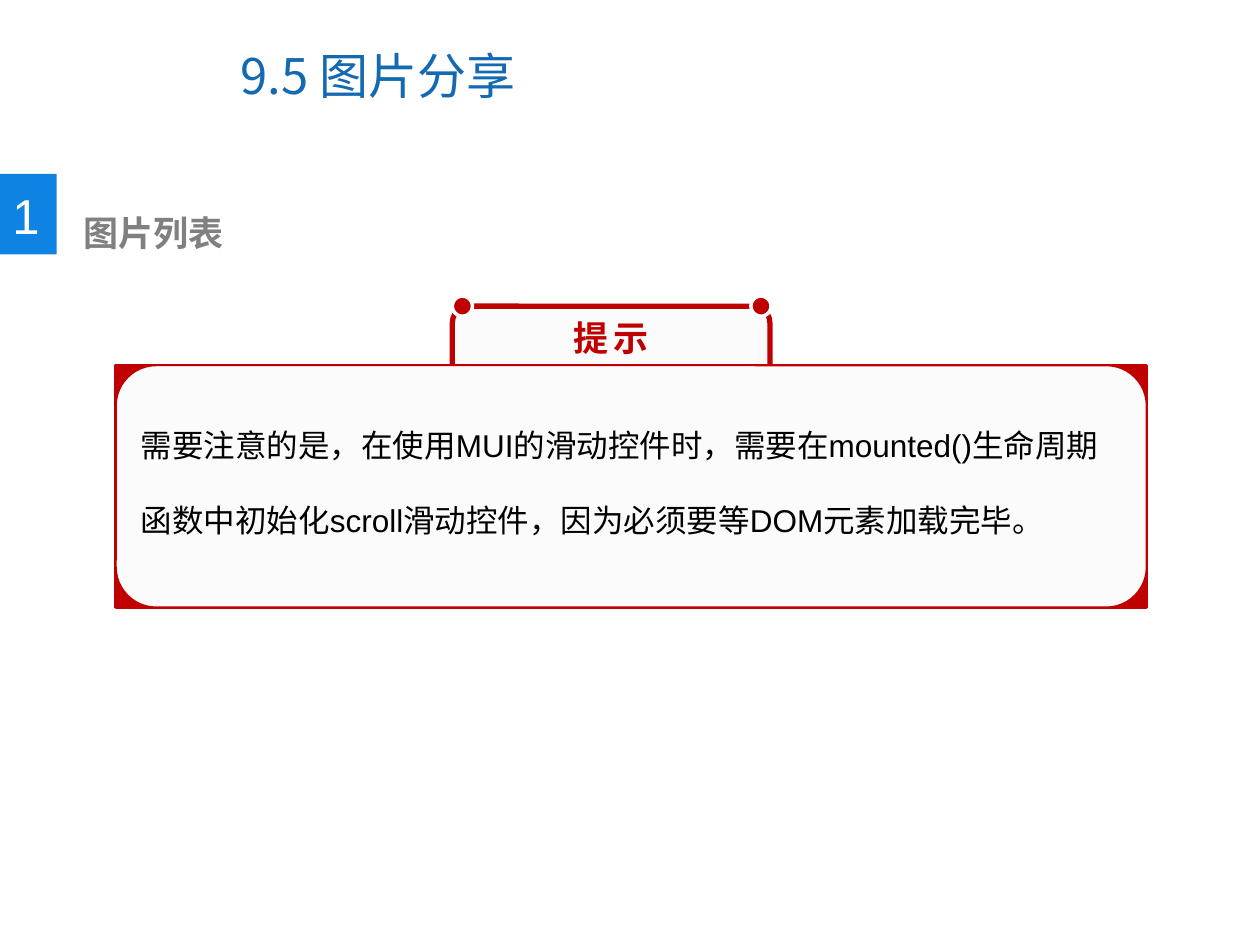
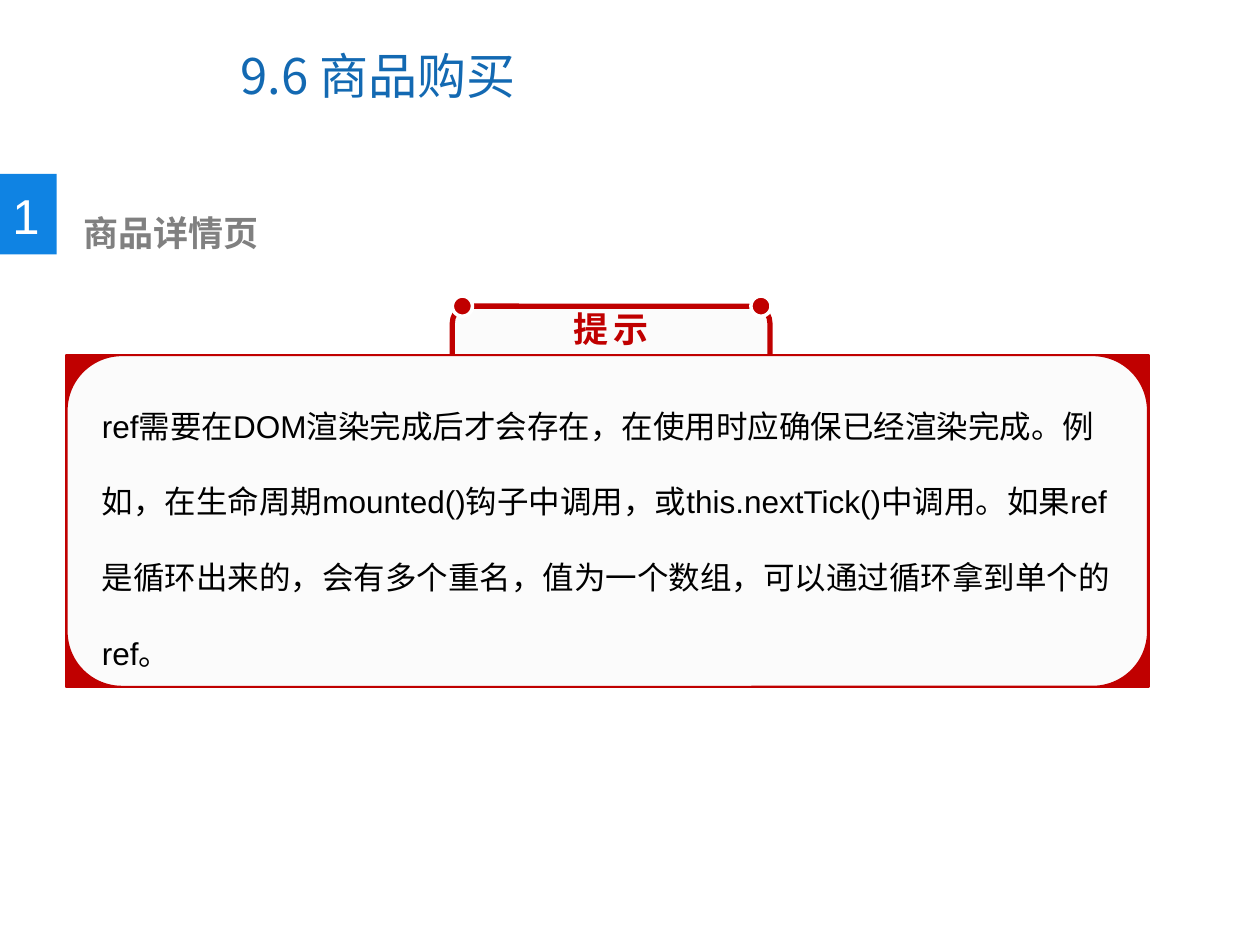
from pptx import Presentation
from pptx.dml.color import RGBColor
from pptx.enum.shapes import MSO_SHAPE
from pptx.enum.text import MSO_ANCHOR, PP_ALIGN
from pptx.util import Inches, Pt
from lxml.etree import SubElement

BLUE, BADGE_BLUE, RED = "1369B2", "0F83E3", "C00000"
PANEL, GRAY, WHITE, BLACK = "FBFBFB", "808080", "FFFFFF", "000000"
CJK = "Noto Sans CJK SC"
NS = "{http://schemas.openxmlformats.org/drawingml/2006/main}"


def rgb(value):
    return RGBColor.from_string(value)


def write(tf, text, size=18, color=BLACK, font="Arial", bold=False, spacing=None,
          line_spacing=None, align=PP_ALIGN.LEFT, anchor=MSO_ANCHOR.TOP, wrap=True):
    tf.word_wrap = wrap
    tf.vertical_anchor = anchor
    p = tf.paragraphs[0]
    p.alignment = align
    if line_spacing:
        p.line_spacing = line_spacing
    r = p.add_run()
    r.text = text
    r.font.size, r.font.bold, r.font.name = Pt(size), bold, font
    r.font.color.rgb = rgb(color)
    rPr = r.font._element
    SubElement(rPr, NS + "ea").set("typeface", CJK)
    if spacing:
        rPr.set("spc", str(spacing * 100))


class Deck:
    def __init__(self):
        self.prs = Presentation()
        self.prs.slide_width, self.prs.slide_height = Inches(10), Inches(7.5)
        self.s = None

    def slide(self, title):
        self.s = self.prs.slides.add_slide(self.prs.slide_layouts[5])
        sp = self.s.shapes.title
        sp.left, sp.top, sp.width, sp.height = map(Inches, (1.81, 0.17, 5.16, 0.85))
        write(sp.text_frame, title, size=28, color=BLUE, font=CJK, anchor=MSO_ANCHOR.MIDDLE)

    def shape(self, kind, box, fill, line=None, width=1):
        sp = self.s.shapes.add_shape(kind, *map(Inches, box))
        sp.shadow.inherit = False
        sp.fill.solid()
        sp.fill.fore_color.rgb = rgb(fill)
        if line:
            sp.line.color.rgb = rgb(line)
            sp.line.width = Pt(width)
        else:
            sp.line.fill.background()

    def text(self, box, text, inset=0.1, **style):
        tf = self.s.shapes.add_textbox(*map(Inches, box)).text_frame
        tf.margin_left = Inches(inset)
        write(tf, text, **style)

    def section(self, number, heading):
        self.shape(MSO_SHAPE.RECTANGLE, (0, 1.38, 0.45, 0.64), BADGE_BLUE)
        self.text((0, 1.42, 0.42, 0.57), number, size=28, color=WHITE, wrap=False)
        self.text((0.48, 1.63, 5.14, 0.44), heading, inset=0.18, size=20, color=GRAY, bold=True)

    def tip(self, panel, label_top, body_box, body):
        """Red-cornered panel with a tab labelled as a tip on its top edge."""
        self.shape(MSO_SHAPE.ROUNDED_RECTANGLE, (3.59, 2.43, 2.52, 0.79), PANEL, RED, 3)
        self.shape(MSO_SHAPE.FLOWCHART_PROCESS, panel, RED, RED, 2)
        self.shape(MSO_SHAPE.FLOWCHART_ALTERNATE_PROCESS, panel, PANEL, RED, 1)
        for left in (3.59, 5.96):
            self.shape(MSO_SHAPE.OVAL, (left, 2.35, 0.16, 0.16), RED, WHITE, 2)
        self.text((4.1, label_top, 1.5, 0.44), "提示", size=20, color=RED, font=CJK,
                  bold=True, spacing=3, align=PP_ALIGN.CENTER)
        self.text(body_box, body, line_spacing=2.0)


def main():
    deck = Deck()

    deck.slide("9.5 图片分享")
    deck.section("1", "图片列表")
    deck.tip((0.92, 2.9, 8.18, 1.92), 2.46, (1.02, 3.03, 8.04, 1.31),
             "需要注意的是，在使用MUI的滑动控件时，需要在mounted()生命周期函数中"
             "初始化scroll滑动控件，因为必须要等DOM元素加载完毕。")

    deck.slide("9.6 商品购买")
    deck.section("1", "商品详情页")
    deck.tip((0.53, 2.82, 8.58, 2.63), 2.39, (0.71, 2.88, 8.22, 2.52),
             "ref需要在DOM渲染完成后才会存在，在使用时应确保已经渲染完成。"
             "例如，在生命周期mounted()钩子中调用，或this.nextTick()中调用。"
             "如果ref是循环出来的，会有多个重名，值为一个数组，可以通过循环拿到单个的ref。")

    deck.prs.save("out.pptx")


if __name__ == "__main__":
    main()
